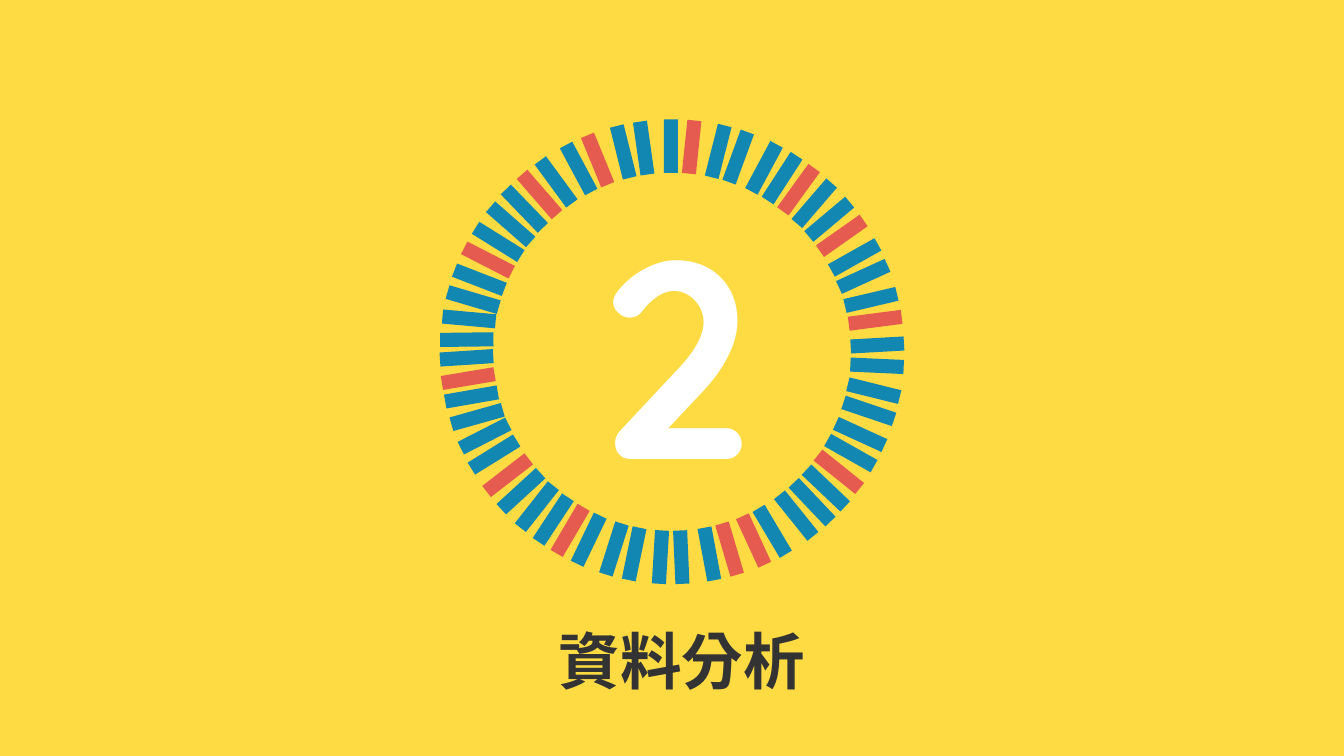
from math import cos, radians, sin

from pptx import Presentation
from pptx.dml.color import RGBColor
from pptx.enum.lang import MSO_LANGUAGE_ID
from pptx.enum.shapes import MSO_SHAPE
from pptx.enum.text import MSO_ANCHOR, MSO_AUTO_SIZE, PP_ALIGN
from pptx.util import Inches, Pt

YELLOW = RGBColor(0xFE, 0xDB, 0x43)
BLUE = RGBColor(0x11, 0x87, 0xB1)
RED = RGBColor(0xE6, 0x5B, 0x4F)
WHITE = RGBColor(0xFF, 0xFF, 0xFF)
DARK = RGBColor(0x33, 0x33, 0x33)

FONT = "Quicksand"
NUMBER = "2"
TITLE = "資料分析"

CENTER_X, CENTER_Y, RADIUS = 6.67, 3.49, 2.04
TICK_W, TICK_H = 0.14, 0.53
PAIR_STEP = 5.8
PAIR_TURNS = [(0, 5.9), (14.2, 20.1), (28.2, 32.9), (35.9, 40.7),
              (50, 54.8), (60.7, 65.5), (76.8, 82.6)]

RIGHT, LEFT, UP, DOWN = 1, -1, 1, -1
ARCS = [
    {"side": RIGHT, "half": UP, "turn": 0, "reds": {1, 6, 9, 13},
     "bearings": [-0.3, 13, 26.6, 38, 49.9, 62.7, 75.4]},
    {"side": LEFT, "half": UP, "turn": 8.1, "reds": {2, 5, 9},
     "bearings": [7.9, 21.2, 34.3, 45.9, 57.7, 69.5, 80.8]},
    {"side": RIGHT, "half": DOWN, "turn": 10.6, "reds": {1, 2, 7},
     "bearings": [10.5, 23.4, 37.2, 48.5, 60.5, 73.3, 86.1]},
    {"side": LEFT, "half": DOWN, "turn": -2.5, "reds": {5, 9},
     "bearings": [-2.6, 10.6, 23.9, 35.3, 47.3, 60, 71.5]},
    {"side": LEFT, "half": DOWN, "turn": 3.7, "reds": {0},
     "bearings": [82.5]},
]


def add_tick(shapes, x, y, rotation, color):
    """Add one bar of the ring, centred on x, y."""
    sp = shapes.add_shape(MSO_SHAPE.RECTANGLE, Inches(x - TICK_W / 2),
                          Inches(y - TICK_H / 2), Inches(TICK_W), Inches(TICK_H))
    sp.rotation = rotation
    sp.shadow.inherit = False
    sp.fill.solid()
    sp.fill.fore_color.rgb = color
    sp.line.fill.background()


def add_arc(shapes, arc):
    """Place pairs of ticks on the circle, mirrored into the arc's quadrant."""
    side, half, bearings = arc["side"], arc["half"], arc["bearings"]
    turns = PAIR_TURNS[-len(bearings):]
    for pair, (start, pair_turns) in enumerate(zip(bearings, turns)):
        for i, turn in enumerate(pair_turns):
            bearing = radians(start + i * PAIR_STEP)
            x = CENTER_X + side * RADIUS * sin(bearing)
            y = CENTER_Y - half * RADIUS * cos(bearing)
            rotation = side * half * (turn + arc["turn"])
            color = RED if 2 * pair + i in arc["reds"] else BLUE
            add_tick(shapes, x, y, rotation, color)


def write(sp, text, size, color, wrap):
    """Fill a shape with one centred bold line and return its paragraph."""
    tf = sp.text_frame
    tf.word_wrap = wrap
    tf.auto_size = MSO_AUTO_SIZE.SHAPE_TO_FIT_TEXT
    tf.vertical_anchor = MSO_ANCHOR.TOP
    p = tf.paragraphs[0]
    p.alignment = PP_ALIGN.CENTER
    r = p.add_run()
    r.text = text
    r.font.name = FONT
    r.font.size = Pt(size)
    r.font.bold = True
    r.font.color.rgb = color
    r.font.language_id = MSO_LANGUAGE_ID.TRADITIONAL_CHINESE
    return p


def main():
    """Build the section slide and save it."""
    prs = Presentation()
    prs.slide_width, prs.slide_height = Inches(13.34), Inches(7.5)
    s = prs.slides.add_slide(prs.slide_layouts[5])
    s.background.fill.solid()
    s.background.fill.fore_color.rgb = YELLOW

    ring = s.shapes.add_group_shape()
    for arc in ARCS:
        add_arc(ring.shapes, arc)
    number = ring.shapes.add_textbox(Inches(5.82), Inches(1.73), Inches(1.77), Inches(3.47))
    write(number, NUMBER, 200, WHITE, False)

    title = s.shapes.title
    title.left, title.top = Inches(5.4), Inches(6.06)
    title.width, title.height = Inches(2.74), Inches(0.92)
    write(title, TITLE, 44, DARK, True).line_spacing = 1.1

    prs.save("out.pptx")


if __name__ == "__main__":
    main()
